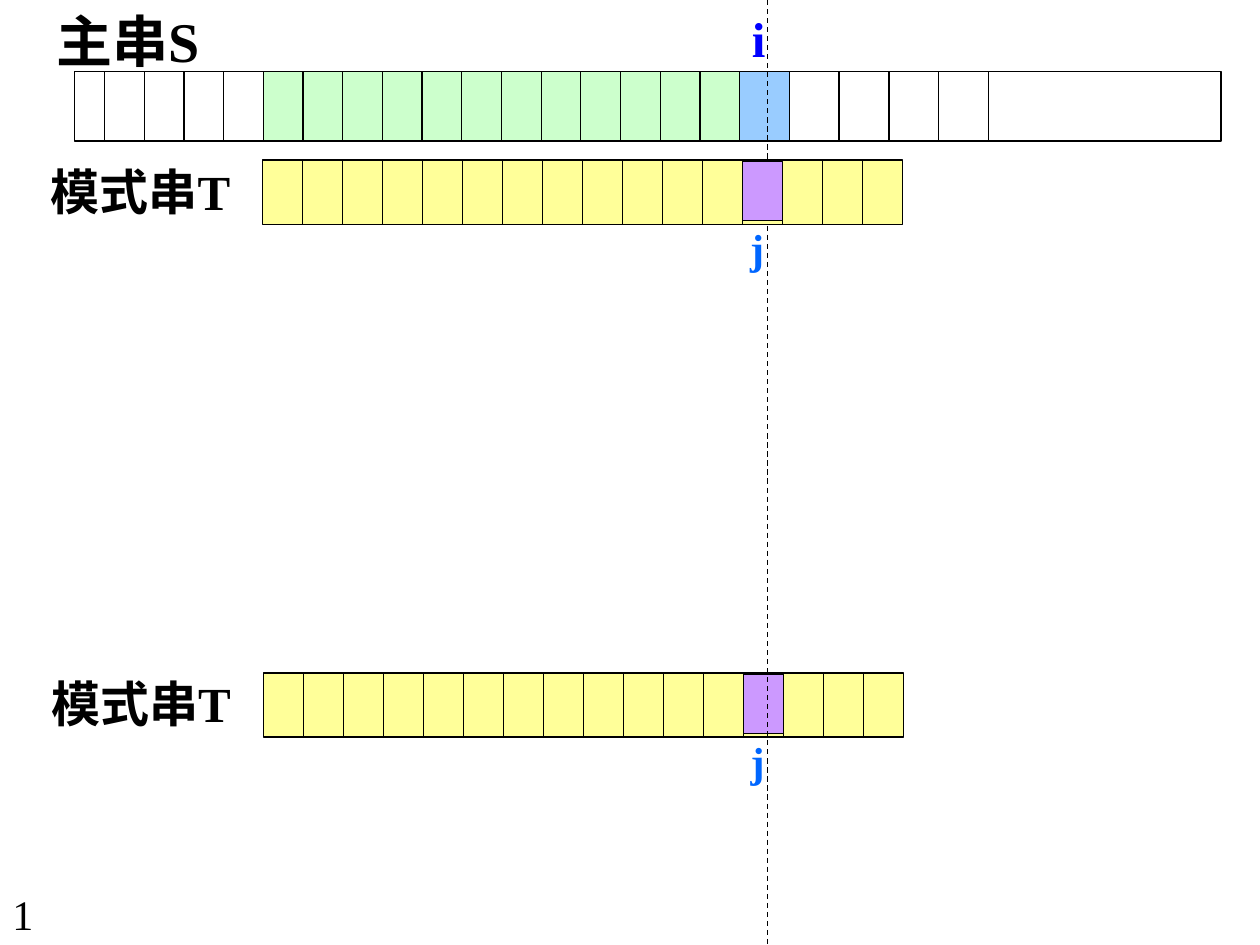
from dataclasses import dataclass

from lxml.etree import SubElement
from pptx import Presentation
from pptx.dml.color import RGBColor as Color
from pptx.enum.dml import MSO_LINE as Dash
from pptx.enum.shapes import MSO_CONNECTOR as Connector, MSO_SHAPE as Shape
from pptx.enum.text import MSO_AUTO_SIZE as AutoSize
from pptx.oxml.ns import qn
from pptx.util import Inches, Pt


@dataclass(frozen=True)
class Theme:
    font: str = "Times New Roman"
    ink: str = "000000"
    matched: str = "CCFFCC"
    current: str = "99CCFF"
    pattern: str = "FFFF99"
    mismatch: str = "CC99FF"
    main_index: str = "0000FF"
    pattern_index: str = "0066FF"
    title: int = 32
    label: int = 28
    small: int = 24
    rule: float = 0.75


@dataclass(frozen=True)
class Box:
    left: float
    top: float
    width: float
    height: float

    def inner(self, left, top, width, height):
        return Box(self.left + left, self.top + top, width, height)

    def lengths(self):
        return [grid(n) for n in (self.left, self.top, self.width, self.height)]


THEME = Theme()
COLUMNS, ROWS = 100, 75
UNIT = Inches(10) / COLUMNS


def grid(count):
    return round(count * UNIT)


def add_text(shapes, box, text, size=THEME.small, color=THEME.ink, bold=True):
    frame = shapes.add_textbox(*box.lengths()).text_frame
    frame.word_wrap = True
    frame.auto_size = AutoSize.SHAPE_TO_FIT_TEXT
    span = frame.paragraphs[0].add_run()
    span.text = text
    span.font.name = THEME.font
    span.font.size = Pt(size)
    span.font.bold = bold
    span.font.color.rgb = Color.from_string(color)


def style_line(line):
    line.color.rgb = Color.from_string(THEME.ink)
    line.width = Pt(THEME.rule)


def add_cell(shapes, box, fill=None):
    cell = shapes.add_shape(Shape.RECTANGLE, *box.lengths())
    cell.shadow.inherit = False
    if fill:
        cell.fill.solid()
        cell.fill.fore_color.rgb = Color.from_string(fill)
    else:
        cell.fill.background()
    style_line(cell.line)


def add_rule(shapes, column, top, height):
    rule = shapes.add_connector(
        Connector.STRAIGHT, grid(column), grid(top), grid(column), grid(top + height)
    )
    SubElement(rule._element.spPr, qn("a:effectLst"))
    style_line(rule.line)
    return rule


def add_dividers(shapes, box, start, step, count):
    for index in range(count):
        add_rule(shapes, box.left + start + index * step, box.top, box.height)


def draw_main_string(page, box):
    shapes = page.shapes
    first, narrow, wide = 2.4, 3.15, 3.95
    before, matched = 4, 12
    match_left = first + before * narrow
    current_left = match_left + matched * narrow
    add_cell(shapes, box.inner(match_left, 0, matched * narrow, box.height), THEME.matched)
    add_cell(shapes, box)
    add_text(shapes, box.inner(current_left, -5.5, 7.4, 5.7), "i",
             size=THEME.label, color=THEME.main_index)
    add_dividers(page.shapes.add_group_shape().shapes, box, first, narrow, before + matched)
    add_cell(shapes, box.inner(current_left, 0, wide, box.height), THEME.current)
    add_dividers(shapes, box, current_left + 2 * wide, wide, 4)
    add_text(shapes, box.inner(-2.4, -5.7, 18.9, 6.3), "主串S", size=THEME.title)


def draw_pattern_string(page, box, cells=16, mismatch=12):
    shapes = page.shapes.add_group_shape().shapes
    step = box.width / cells
    mismatch_left = mismatch * step
    add_cell(shapes, box, THEME.pattern)
    add_dividers(shapes, box, 0, step, cells)
    add_text(shapes, box.inner(-17.8, -0.4, 18.9, 5.7), "模式串T", size=THEME.label)
    add_cell(shapes, box.inner(mismatch_left, 0.1, step, 4.7), THEME.mismatch)
    add_text(shapes, box.inner(mismatch_left - 0.4, 4.45, 7.4, 5), "j",
             color=THEME.pattern_index)


def main():
    deck = Presentation()
    deck.slide_width, deck.slide_height = grid(COLUMNS), grid(ROWS)
    page = deck.slides.add_slide(deck.slide_layouts[6])
    draw_main_string(page, Box(5.9, 5.7, 91, 5.5))
    draw_pattern_string(page, Box(20.9, 53.4, 50.8, 5.1))
    add_rule(page.shapes, 60.9, 0, ROWS).line.dash_style = Dash.DASH
    draw_pattern_string(page, Box(20.85, 12.7, 50.8, 5.1))
    add_text(page.shapes, Box(0, 70, 5.5, 5), "1", bold=False)
    deck.save("out.pptx")


if __name__ == "__main__":
    main()
